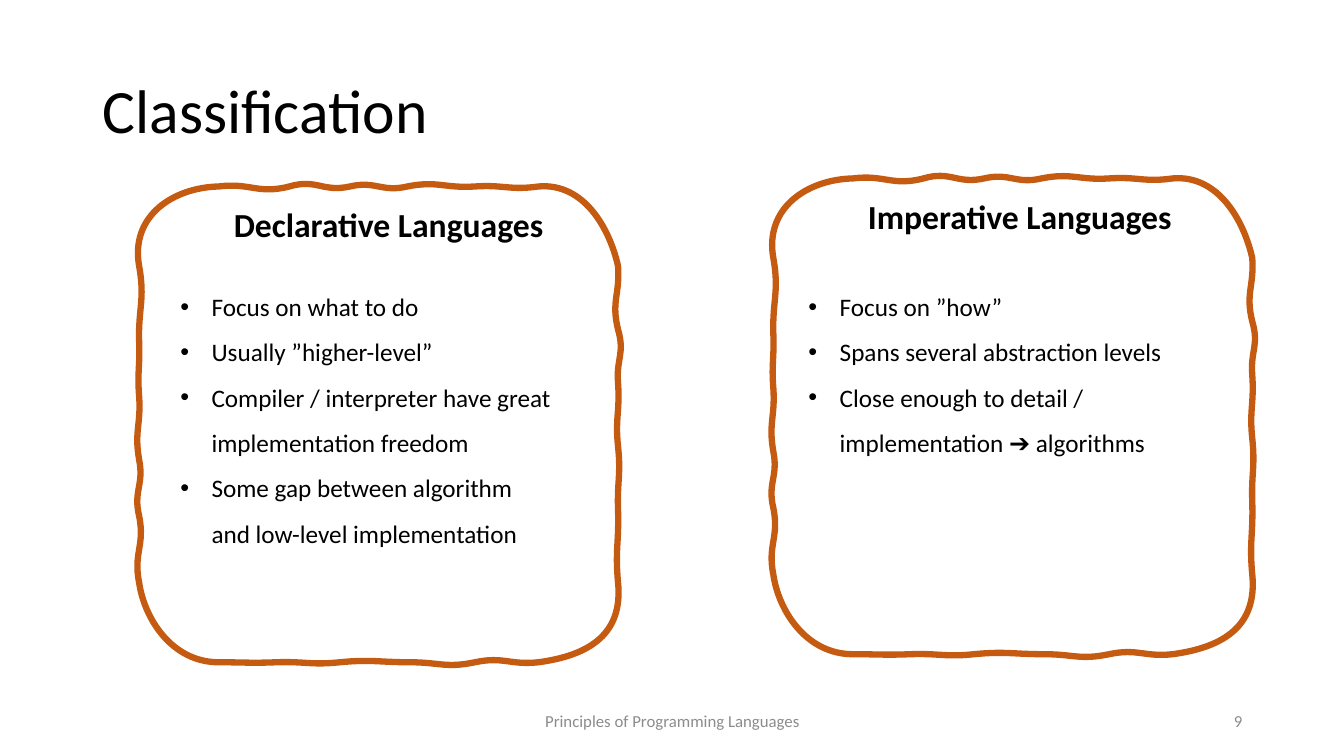
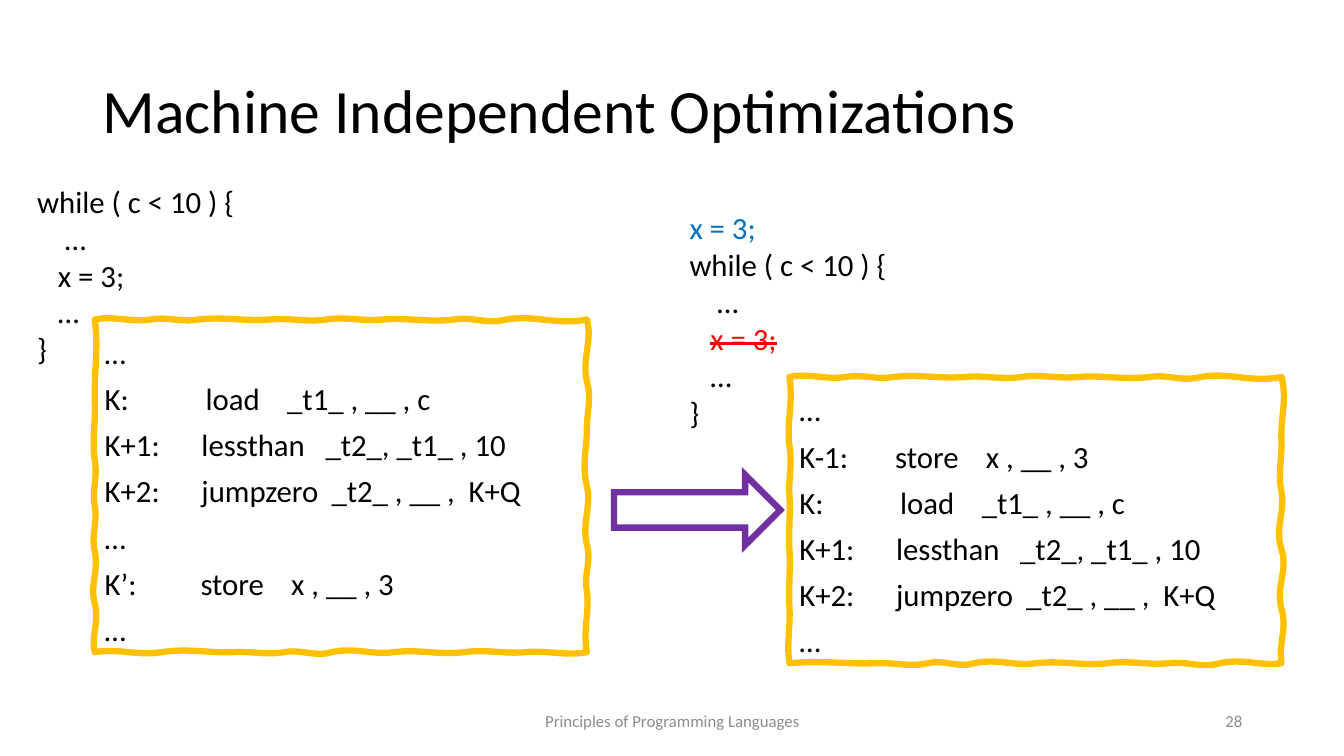
"""Build two lecture slides on programming languages with hand-drawn frames."""
from lxml.etree import SubElement
from pptx import Presentation
from pptx.dml.color import RGBColor
from pptx.enum.shapes import MSO_SHAPE as Shape
from pptx.enum.text import MSO_ANCHOR as Anchor, PP_ALIGN as Align
from pptx.oxml.ns import qn
from pptx.util import Inches, Pt

hue = RGBColor.from_string
BLACK, GREY, RUST, GOLD = "000000", "8C8C8C", "C55A11", "FFC000"
BLUE, RED, PURPLE = "0070C0", "FF0000", "7030A0"
FONT = "Calibri"


def write(frame, lines, size, ink=BLACK, align=Align.LEFT, anchor=Anchor.TOP, space=None, wrap=True):
    """Fill a text frame with one paragraph per line."""
    frame.word_wrap = wrap
    frame.vertical_anchor = anchor
    frame.text = "\n".join(lines)
    for para in frame.paragraphs:
        para.alignment = align
        para.line_spacing = space
        for run in para.runs:
            run.font.name = FONT
            run.font.size = Pt(size)
            run.font.color.rgb = hue(ink)
    return frame


def wave(slide, left, top, knots, ink, near, far, bends):
    """Draw a closed curve through clockwise knots (x, y, swing); bends hold corner controls."""
    spots = [(Inches(left + x), Inches(top + y)) for x, y, swing in knots]
    pen = slide.shapes.build_freeform(*spots[0])
    pen.add_line_segments(spots[1:] + spots[:1], close=True)
    shape = pen.convert_to_shape()
    track = shape._element.find(".//" + qn("a:path"))
    legs = zip(track.findall(qn("a:lnTo")), knots, knots[1:] + knots[:1])
    for index, (leg, (ax, ay, out), (bx, by, back)) in enumerate(legs):
        dx, dy = bx - ax, by - ay
        reach = abs(dx) + abs(dy)
        ox, oy = dy / reach, -dx / reach
        pair = bends.get(index) or (
            (ax + near * dx + out * ox, ay + near * dy + out * oy),
            (ax + far * dx - back * ox, ay + far * dy - back * oy),
        )
        leg.tag = qn("a:cubicBezTo")
        for spot, (x, y) in enumerate(pair):
            dot = SubElement(leg, qn("a:pt"), x=str(Inches(left + x) - shape.left), y=str(Inches(top + y) - shape.top))
            leg.insert(spot, dot)
    shape.shadow.inherit = False
    shape.fill.background()
    shape.line.color.rgb = hue(ink)
    shape.line.width = Pt(4.5)
    return shape


deck = Presentation()
deck.slide_width, deck.slide_height = Inches(13.33), Inches(7.5)
slides = []
for title, page, wide in (("Classification", "9", 11.5), ("Machine Independent Optimizations", "28", 9.44)):
    slide = deck.slides.add_slide(deck.slide_layouts[6])
    slides.append(slide)
    for box, text, size, ink, align, space in (
        ((0.92, 0.4, wide, 1.45), title, 44, BLACK, Align.LEFT, 0.9),
        ((4.42, 6.95, 4.5, 0.4), "Principles of Programming Languages", 12, GREY, Align.CENTER, None),
        ((9.42, 6.95, 3, 0.4), page, 12, GREY, Align.RIGHT, None),
    ):
        area = slide.shapes.add_textbox(*map(Inches, box))
        write(area.text_frame, [text], size, ink, align, Anchor.MIDDLE, space)
kinds, code = slides

wide, tall = 4.75, 4.72
roof = (0.79, 0.04), (1.49, 0.08), (2.09, 0.06), (2.66, 0.06), (3.33, 0.02), (3.96, 0.04)
right = (0.79, 0.02), (1.42, 0.07), (1.95, 0.02), (2.58, 0.03), (3.21, 0.01), (3.93, 0.03)
base = (3.96, 0.03), (3.33, 0.06), (2.69, 0), (1.99, 0.03), (1.36, 0.01), (0.79, 0)
rise = (3.93, 0.06), (3.27, 0.06), (2.71, 0.05), (2.08, 0.02), (1.54, 0.01), (0.79, 0.06)
card = [(x, 0, s) for x, s in roof] + [(wide, y, s) for y, s in right]
card += [(x, tall, s) for x, s in base] + [(0, y, s) for y, s in rise]
bends = {
    5: ((4.42, -0.04), (4.67, 0.43)),
    11: ((4.8, 4.43), (4.48, 4.65)),
    17: ((0.32, 4.72), (0.05, 4.28)),
    23: ((-0.09, 0.29), (0.34, 0.01)),
}

for left, top, head, span, body, points in (
    (1.38, 1.85, "Declarative Languages", 3.31, (1.69, 2.69, 3.9, 3.23), [
        "Focus on what to do",
        "Usually ”higher-level”",
        "Compiler / interpreter have great implementation freedom",
        "Some gap between algorithm and low-level implementation",
    ]),
    (7.67, 1.77, "Imperative Languages", 3.25, (7.92, 2.69, 4.31, 2.78), [
        "Focus on ”how”",
        "Spans several abstraction levels",
        "Close enough to detail / implementation ➔ algorithms",
    ]),
):
    wave(kinds, left, top, card, RUST, 0.45, 0.55, bends)
    label = kinds.shapes.add_textbox(*map(Inches, (left + 0.84, top + 0.12, span, 0.5)))
    write(label.text_frame, [head], 24, wrap=False).paragraphs[0].runs[0].font.bold = True
    area = kinds.shapes.add_textbox(*map(Inches, body))
    for para in write(area.text_frame, points, 18, space=1.5).paragraphs:
        props = para._p.get_or_add_pPr()
        props.set("marL", str(Inches(0.31)))
        props.set("indent", str(-Inches(0.31)))
        SubElement(props, qn("a:buFont")).set("typeface", "Arial")
        SubElement(props, qn("a:buChar")).set("char", "•")

loop = ["while ( c < 10 ) {\v    …", "   x = 3;", "   …", "}"]
test = ["K:\tload\t_t1_ , __ , c", "K+1:\tlessthan\t_t2_, _t1_ , 10", "K+2:\tjumpzero\t_t2_ , __ ,  K+Q"]
stops = {"load": (1.0, 1.81), "lessthan": (0.96, 2.19), "jumpzero": (0.96, 2.25), "store": (0.95, 1.85)}
wide = 4.88
roof = ((0, 0.04), (0.56, 0.03), (1.03, 0.03), (1.74, 0.02), (2.3, 0.03),
        (2.86, 0.02), (3.57, 0.03), (4.08, 0.05), (wide, 0.06))

sources = []
for box, lines, left, top, tall, right, base, rise, steps in (
    ((0.27, 1.76, 2.18, 1.95), loop, 0.94, 3.17, 3.3,
     ((0.61, 0.05), (1.1, 0), (1.65, 0.05), (2.23, 0.05), (2.69, 0.03)),
     ((wide, 0.04), (4.27, 0.02), (3.66, 0.03), (2.96, 0.03), (2.35, 0.05),
      (1.88, 0.03), (1.37, 0.01), (0.66, 0.04), (0, 0.04)),
     ((2.82, 0.05), (2.3, 0.04), (1.85, 0.03), (1.4, 0.03), (0.81, 0.01)),
     ["…", *test, "…", "K’:\tstore\tx , __ , 3", "…"]),
    ((6.74, 2.02, 2.18, 2.32), ["x = 3;", *loop], 7.83, 3.74, 2.84,
     ((0.63, 0.01), (1.14, 0.04), (1.71, 0.07), (2.3, 0.06)),
     ((wide, 0.03), (4.27, 0.05), (3.76, 0.02), (3.15, 0.03), (2.44, 0.03),
      (1.83, 0.05), (1.37, 0.04), (0.85, 0.01), (0, 0.03)),
     ((2.28, 0.01), (1.71, 0.01), (1.17, 0.01), (0.68, 0.03)),
     ["…", "K-1:\tstore\tx , __ , 3", *test, "…"]),
):
    area = code.shapes.add_textbox(*map(Inches, box))
    sources.append(write(area.text_frame, lines, 22, wrap=False))
    knots = [(x, 0, s) for x, s in roof] + [(wide, y, s) for y, s in right]
    knots += [(x, tall, s) for x, s in base] + [(0, y, s) for y, s in rise]
    panel = wave(code, left, top, knots, GOLD, 0.35, 0.62, {})
    for para in write(panel.text_frame, steps, 22, space=1.25).paragraphs:
        parts = para.text.split("\t")
        if len(parts) > 1:
            tabs = SubElement(para._p.get_or_add_pPr(), qn("a:tabLst"))
            for stop in stops[parts[1]]:
                SubElement(tabs, qn("a:tab"), pos=str(Inches(stop)), algn="l")

moved, gone = sources[1].paragraphs[0], sources[1].paragraphs[2]
moved.runs[0].font.color.rgb = hue(BLUE)
gone.runs[0].text = "   "
struck = gone.add_run()
struck.text = "x = 3;"
struck.font.name = FONT
struck.font.size = Pt(22)
struck.font.color.rgb = hue(RED)
struck._r.get_or_add_rPr().set("strike", "sngStrike")

arrow = code.shapes.add_shape(Shape.RIGHT_ARROW, *map(Inches, (6.09, 4.71, 1.65, 0.7)))
arrow.shadow.inherit = False
arrow.fill.background()
arrow.line.color.rgb = hue(PURPLE)
arrow.line.width = Pt(4.5)
SubElement(arrow.line._get_or_add_ln(), qn("a:miter"), lim="800000")

deck.save("out.pptx")
